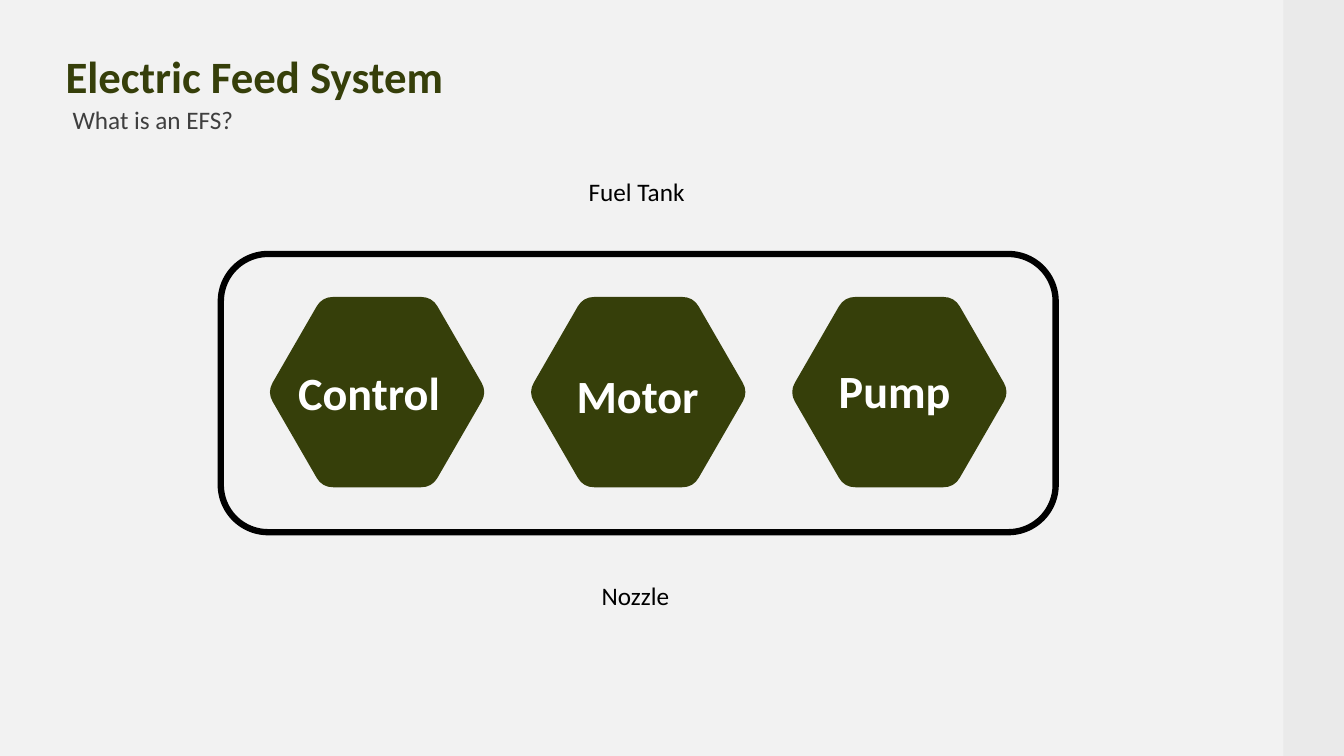
"""Build the Electric Feed System slide."""
import math

import lxml.etree
import pptx
import pptx.dml.color
import pptx.enum.shapes
import pptx.enum.text
import pptx.oxml.ns
import pptx.util

PX = 9144
OLIVE = pptx.dml.color.RGBColor(0x36, 0x3F, 0x0A)
WHITE = pptx.dml.color.RGBColor(0xFF, 0xFF, 0xFF)
BLACK = pptx.dml.color.RGBColor(0x00, 0x00, 0x00)
GREY = pptx.dml.color.RGBColor(0x3F, 0x3F, 0x3F)
PAPER = pptx.dml.color.RGBColor(0xF2, 0xF2, 0xF2)
STRIP = pptx.dml.color.RGBColor(0xEA, 0xEA, 0xEA)
SHAPE = pptx.enum.shapes.MSO_SHAPE
ANCHOR = pptx.enum.text.MSO_ANCHOR

RADIUS = 105
CORNER = 0.085
HEX_X, HEX_Y, HEX_PITCH = 374, 389, 259


def emu(*lengths):
    """Turn lengths in px into EMU."""
    return [pptx.util.Emu(n * PX) for n in lengths]


def paint(sp, fill=None, line=None, width=0):
    """Set the fill and outline of a shape and drop its shadow."""
    sp.shadow.inherit = False
    if fill is None:
        sp.fill.background()
    else:
        sp.fill.solid()
        sp.fill.fore_color.rgb = fill
    if line is None:
        sp.line.fill.background()
    else:
        sp.line.color.rgb = line
        sp.line.width = pptx.util.Pt(width)


def add_box(s, kind, box, **look):
    """Add a painted preset shape."""
    sp = s.shapes.add_shape(kind, *emu(*box))
    paint(sp, **look)
    return sp


def add_text(s, text, box, size, color, bold=False, inset=(10, 5), anchor=ANCHOR.TOP, spacing=1.0):
    """Add a one-line text box."""
    tf = s.shapes.add_textbox(*emu(*box)).text_frame
    side, edge = emu(*inset)
    frame = {"word_wrap": True, "vertical_anchor": anchor, "margin_left": side,
             "margin_right": side, "margin_top": edge, "margin_bottom": edge}
    for name, value in frame.items():
        setattr(tf, name, value)
    p = tf.paragraphs[0]
    p.line_spacing = spacing
    r = p.add_run()
    r.text = text
    for name, value in {"name": "Calibri", "size": pptx.util.Pt(size), "bold": bold}.items():
        setattr(r.font, name, value)
    r.font.color.rgb = color


def hexagon_points(cx, cy):
    """Return the entry, middle and exit of each rounded corner, in EMU."""
    corners = [(cx + RADIUS * math.cos(k * math.pi / 3), cy + RADIUS * math.sin(k * math.pi / 3))
               for k in range(6)]
    points = []
    for k, (x, y) in enumerate(corners):
        (x0, y0), (x1, y1) = corners[k - 1], corners[(k + 1) % 6]
        for a, b in ((CORNER, 0), (CORNER / 4, CORNER / 4), (0, CORNER)):
            points.append((round((x + a * (x0 - x) + b * (x1 - x)) * PX),
                           round((y + a * (y0 - y) + b * (y1 - y)) * PX)))
    return points


def curve_corners(sp):
    """Merge the two short lines of each corner into one curve."""
    qn = pptx.oxml.ns.qn
    outline = next(sp.element.iter(qn("a:path")))
    pts = list(outline.iter(qn("a:pt")))
    for entry, middle, leave in zip(pts[::3], pts[1::3], pts[2::3]):
        for axis in ("x", "y"):
            ends = int(entry.get(axis)) + int(leave.get(axis))
            middle.set(axis, str(2 * int(middle.get(axis)) - ends // 2))
        old, last = middle.getparent(), leave.getparent()
        curve = lxml.etree.Element(qn("a:quadBezTo"))
        outline.replace(old, curve)
        curve.extend([middle, leave])
        outline.remove(last)


def add_hexagon(s, cx, cy):
    """Add one rounded hexagon centred on a point."""
    start, *rest = hexagon_points(cx, cy)
    fb = s.shapes.build_freeform(*start, scale=1.0)
    fb.add_line_segments(rest, close=True)
    sp = fb.convert_to_shape()
    curve_corners(sp)
    paint(sp, fill=OLIVE, line=OLIVE, width=5)


def main():
    """Build and save the slide."""
    prs = pptx.Presentation()
    prs.slide_width, prs.slide_height = emu(1333, 750)
    s = prs.slides.add_slide(prs.slide_layouts[6])
    s.background.fill.solid()
    s.background.fill.fore_color.rgb = PAPER

    add_text(s, "Electric Feed System", (65, 55, 788, 47), 32, OLIVE, bold=True,
             inset=(0, 0), anchor=ANCHOR.MIDDLE, spacing=0.9)
    add_text(s, "What is an EFS?", (72, 107, 670, 41), 18, GREY, inset=(0, 0), spacing=0.9)
    add_box(s, SHAPE.RECTANGLE, (1273, 0, 74, 750), fill=STRIP)

    parts = [("Control", (286, 357, 186, 66)),
             ("Motor", (562, 359, 155, 66)),
             ("Pump", (822, 355, 142, 66))]
    for i in range(len(parts)):
        add_hexagon(s, HEX_X + i * HEX_PITCH, HEX_Y)
    for name, box in parts:
        add_text(s, name, box, 33, WHITE, bold=True)

    frame = add_box(s, SHAPE.ROUNDED_RECTANGLE, (219, 252, 828, 276), line=BLACK, width=4.5)
    frame.adjustments[0] = 0.17
    add_text(s, "Fuel Tank", (574, 170, 197, 40), 18, BLACK)
    add_text(s, "Nozzle", (587, 571, 287, 40), 18, BLACK)
    prs.save("out.pptx")


if __name__ == "__main__":
    main()
